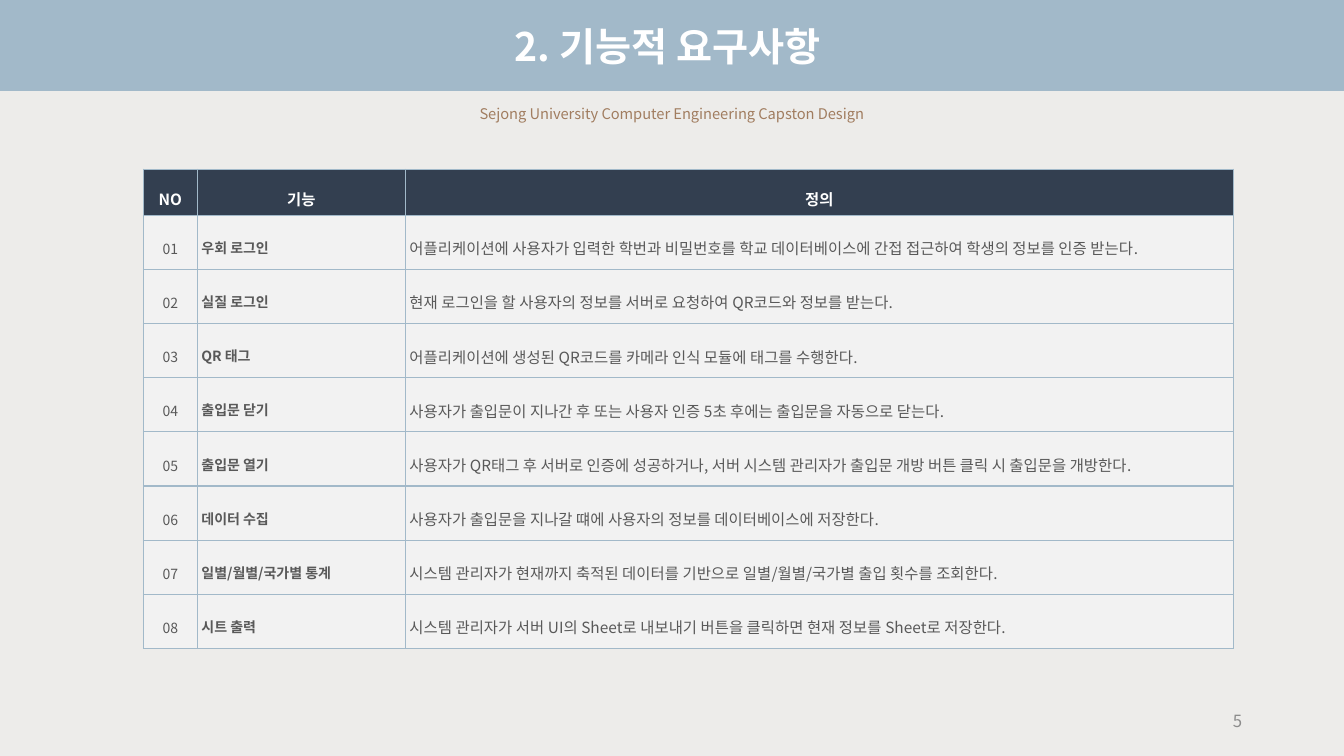
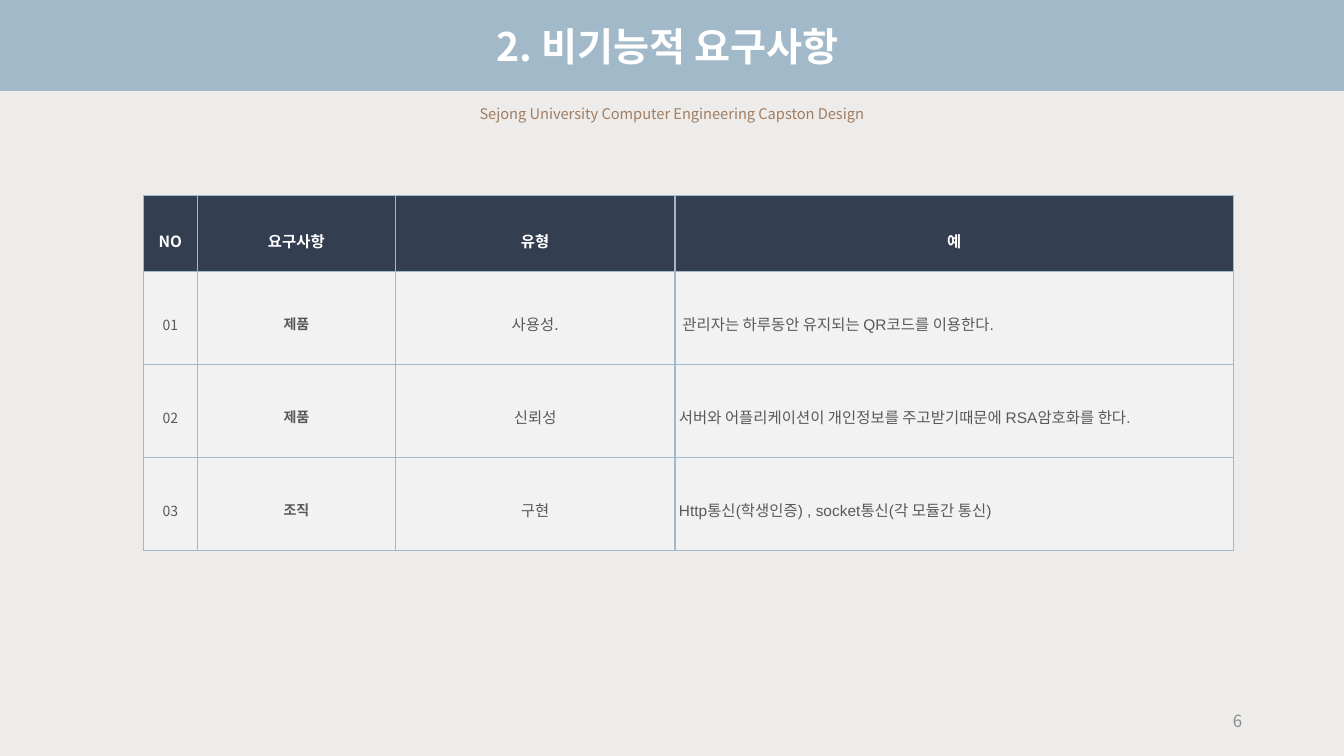
from lxml.etree import SubElement as Sub
from pptx import Presentation
from pptx.dml.color import RGBColor
from pptx.enum.text import MSO_ANCHOR as Anchor, MSO_AUTO_SIZE as Fit, PP_ALIGN as Align
from pptx.oxml.ns import qn
from pptx.util import Inches, Pt

# Shared look
NOTO, ARIAL = "Noto Sans CJK KR", "Arial"
BLUE, NAVY, PALE, SAND = "A2B9C9", "333F50", "F2F2F2", "EDECEA"
HEAD = dict(size=Pt(28), bold=True, color="FFFFFF")
SUB = dict(size=Pt(10.5), bold=False, color="A17D60")
PAGE = dict(size=Pt(12), bold=False, color="8C8C8C")
TOP = dict(size=Pt(11), bold=True, color="FFFFFF")
NUM = dict(size=Pt(10), bold=False, color="595959")
NAME = dict(NUM, bold=True)
TEXT = dict(NUM, size=Pt(11))
LATIN = dict(TEXT, name=ARIAL)
MID, LEFT = Align.CENTER, Align.LEFT


def hue(code):
    return RGBColor.from_string(code)


def write(para, text, look, align, gap=1.0):
    """Fill a paragraph with one formatted run."""
    para.alignment, para.line_spacing = align, gap
    run = para.add_run()
    run.text = text
    for key, val in {"name": NOTO, **look}.items():
        if key == "color":
            run.font.color.rgb = hue(val)
        else:
            setattr(run.font, key, val)
    Sub(run.font._element if hasattr(run.font, "_element") else run._r.get_or_add_rPr(),
        qn("a:ea"), typeface=NOTO)


# Slides: title, page, table top, row heights, columns and cells.
# Heights are percent of the slide's height, widths percent of its width;
# a column holds its width, body look and alignment.
DECK = [
    dict(
        title="2. 기능적 요구사항 ", page="5", top=22.37, head=6.1, row=7.17,
        cols=[(4.02, NUM, MID), (15.48, NAME, LEFT), (61.6, TEXT, LEFT)],
        cells=[
            ("NO", "기능", "정의"),
            ("01", "우회 로그인", "어플리케이션에 사용자가 입력한 학번과 비밀번호를 학교 데이터베이스에 간접 접근하여 학생의 정보를 인증 받는다."),
            ("02", "실질 로그인", "현재 로그인을 할 사용자의 정보를 서버로 요청하여 QR코드와 정보를 받는다."),
            ("03", "QR 태그", "어플리케이션에 생성된 QR코드를 카메라 인식 모듈에 태그를 수행한다."),
            ("04", "출입문 닫기", "사용자가 출입문이 지나간 후 또는 사용자 인증 5초 후에는 출입문을 자동으로 닫는다."),
            ("05", "출입문 열기", "사용자가 QR태그 후 서버로 인증에 성공하거나, 서버 시스템 관리자가 출입문 개방 버튼 클릭 시 출입문을 개방한다."),
            ("06", "데이터 수집", "사용자가 출입문을 지나갈 떄에 사용자의 정보를 데이터베이스에 저장한다."),
            ("07", "일별/월별/국가별 통계", "시스템 관리자가 현재까지 축적된 데이터를 기반으로 일별/월별/국가별 출입 횟수를 조회한다."),
            ("08", "시트 출력", "시스템 관리자가 서버 UI의 Sheet로 내보내기 버튼을 클릭하면 현재 정보를 Sheet로 저장한다."),
        ]),
    dict(
        title="2. 비기능적 요구사항 ", page="6", top=25.87, head=10.05, row=12.3,
        cols=[(4.02, NUM, MID), (14.73, NAME, MID), (20.8, TEXT, MID), (41.55, LATIN, LEFT)],
        cells=[
            ("NO", "요구사항", "유형", "예"),
            ("01", "제품", "사용성.", " 관리자는 하루동안 유지되는 QR코드를 이용한다."),
            ("02", "제품", "신뢰성", "서버와 어플리케이션이 개인정보를 주고받기때문에 RSA암호화를 한다."),
            ("03", "조직", "구현", "Http통신(학생인증) , socket통신(각 모듈간 통신)"),
        ]),
]

# Slide size and grid
prs = Presentation()
prs.slide_width, prs.slide_height = Inches(13.33), Inches(7.5)
COL, ROW = prs.slide_width / 100, prs.slide_height / 100

# Master background: a hard step makes the top band
back = prs.slide_master.background.fill
back.gradient()
back.gradient_angle = 90
for stop, code in zip(back.gradient_stops, (SAND, BLUE)):
    stop.position, stop.color.rgb = 0.88, hue(code)

# Layout title: full width, at the top
plan = prs.slide_layouts[5]
spot = plan.placeholders[0]
spot.left, spot.top = 0, int(2.27 * ROW)
spot.width, spot.height = prs.slide_width, int(13.33 * ROW)
spot.text_frame.vertical_anchor = Anchor.TOP
spot.text_frame.auto_size = Fit.SHAPE_TO_FIT_TEXT

for part in DECK:
    slide = prs.slides.add_slide(plan)

    # Title and subtitle
    frame = slide.shapes.title.text_frame
    write(frame.paragraphs[0], part["title"], HEAD, MID)
    write(frame.add_paragraph(), "Sejong University Computer Engineering Capston Design",
          SUB, MID, 3.0)

    # Page number
    box = slide.shapes.add_textbox(*map(int, (70.67 * COL, 92.67 * ROW, 22.5 * COL, 5.33 * ROW)))
    box.text_frame.word_wrap = True
    box.text_frame.vertical_anchor = Anchor.MIDDLE
    write(box.text_frame.paragraphs[0], part["page"], PAGE, Align.RIGHT)

    # Table grid
    cols, cells = part["cols"], part["cells"]
    highs = [part["head"]] + [part["row"]] * (len(cells) - 1)
    wide = sum(col[0] for col in cols)
    area = (10.67 * COL, part["top"] * ROW, wide * COL, sum(highs) * ROW)
    table = slide.shapes.add_table(len(cells), len(cols), *map(int, area)).table
    table.horz_banding = False
    for line, high in zip(table.rows, highs):
        line.height = int(high * ROW)
    for line, col in zip(table.columns, cols):
        line.width = int(col[0] * COL)

    # Table cells
    for r, texts in enumerate(cells):
        for c, text in enumerate(texts):
            _, look, align = cols[c]
            if r == 0:
                look, align = TOP, MID
            cell = table.cell(r, c)
            pad = Inches(0.04) if align == LEFT else 0
            form = dict(margin_left=pad, margin_right=0, margin_top=0, margin_bottom=0,
                        vertical_anchor=Anchor.MIDDLE)
            for key, val in form.items():
                setattr(cell, key, val)
            for side in ("lnL", "lnR", "lnT", "lnB"):
                edge = Sub(cell._tc.get_or_add_tcPr(), qn("a:" + side), w=str(Pt(1)))
                Sub(Sub(edge, qn("a:solidFill")), qn("a:srgbClr"), val=BLUE)
            cell.fill.solid()
            cell.fill.fore_color.rgb = hue(PALE if r else NAVY)
            gap = 1.6 if r == 0 or c == 0 else 1.5
            write(cell.text_frame.paragraphs[0], text, look, align, gap)

prs.save("out.pptx")
